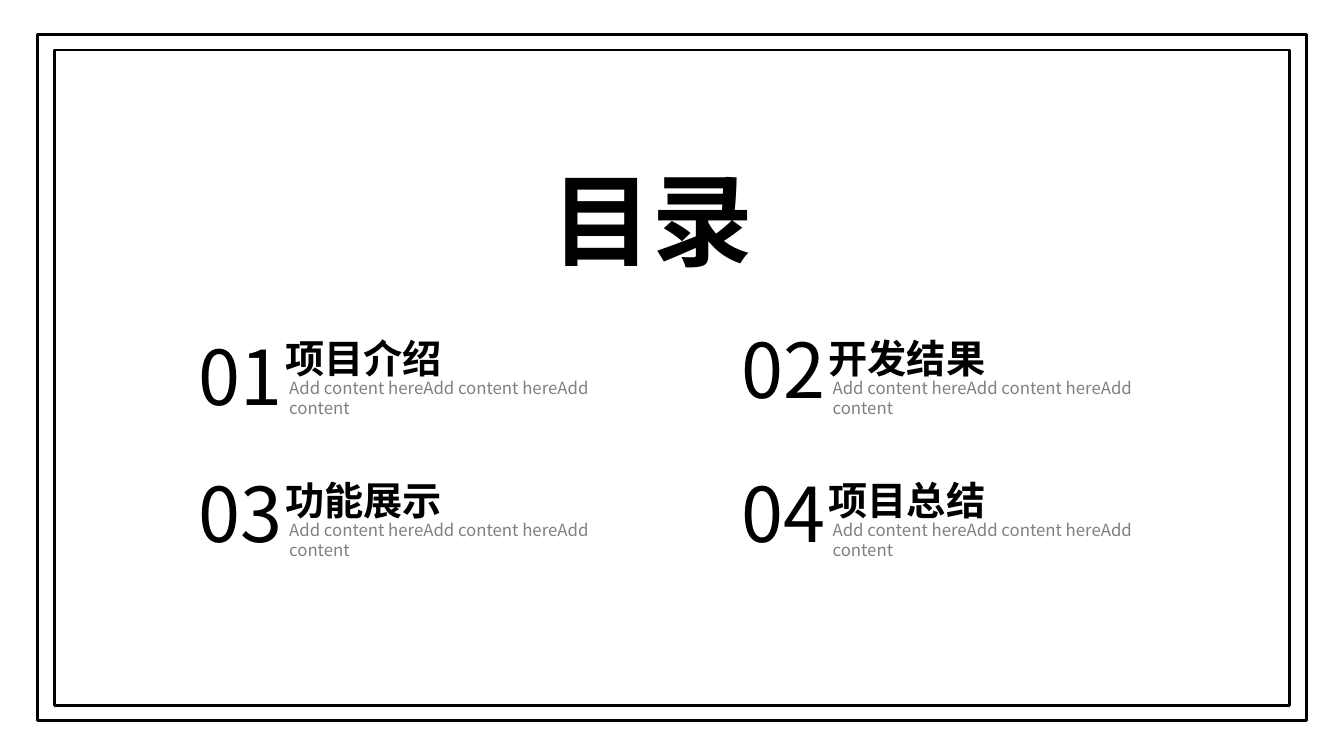
from lxml import etree
from pptx import Presentation, util as u
from pptx.dml.color import RGBColor
from pptx.enum import shapes, text
from pptx.oxml.ns import qn

BLACK = RGBColor(0x00, 0x00, 0x00)
GREY = RGBColor(0x80, 0x80, 0x80)
FONT = "Noto Sans CJK SC"
LEFT, TOP = 1.8, 3.27
COLUMN, ROW = 5.39, 1.41
BLURB = "Add content hereAdd content hereAdd content"
ENTRIES = [("01", "项目介绍", 3.22), ("02", "开发结果", 3.15),
           ("03", "功能展示", 4.58), ("04", "项目总结", 4.58)]


def place(box, left, top, width, height):
    """Move a shape to a position given in inches."""
    box.left, box.top = u.Inches(left), u.Inches(top)
    box.width, box.height = u.Inches(width), u.Inches(height)


def write(box, words, size, color=BLACK, bold=False, align=text.PP_ALIGN.LEFT):
    """Fill a text shape with one formatted paragraph."""
    frame = box.text_frame
    frame.word_wrap = True
    frame.auto_size = text.MSO_AUTO_SIZE.SHAPE_TO_FIT_TEXT
    frame.vertical_anchor = text.MSO_ANCHOR.TOP
    para = frame.paragraphs[0]
    para.alignment = align
    para.line_spacing = 1.0
    para.space_before = u.Pt(0)
    span = para.add_run()
    span.text = words
    font = span.font
    font.name, font.size, font.bold = FONT, u.Pt(size), bold
    font.color.rgb = color
    latin = span._r.get_or_add_rPr().find(qn("a:latin"))
    east_asian = etree.Element(qn("a:ea"), typeface=FONT)
    latin.addnext(east_asian)


def add_label(page, area, words, size, **style):
    """Add a text box over an area and write in it."""
    box = page.shapes.add_textbox(0, 0, 0, 0)
    place(box, *area)
    write(box, words, size, **style)


def add_frame(group, area, weight):
    """Add an unfilled black border to the group."""
    border = group.shapes.add_shape(shapes.MSO_SHAPE.RECTANGLE, 0, 0, 0, 0)
    place(border, *area)
    border.shadow.inherit = False
    border.fill.background()
    border.line.color.rgb = BLACK
    border.line.width = u.Pt(weight)


def add_entry(page, index, number, heading, number_top):
    """Add a numbered contents entry in its grid cell."""
    row, column = divmod(index, 2)
    left, top = LEFT + column * COLUMN, TOP + row * ROW
    add_label(page, (left + 0.93, top, 2.77, 0.57), heading, 28, bold=True)
    add_label(page, (left + 0.97, top + 0.43, 3.71, 0.3), BLURB, 12, color=GREY)
    add_label(page, (left, number_top, 1.17, 1.01), number, 54,
              align=text.PP_ALIGN.CENTER)


def main():
    """Build the contents slide."""
    deck = Presentation()
    deck.slide_width, deck.slide_height = u.Inches(13.33), u.Inches(7.5)
    page = deck.slides.add_slide(deck.slide_layouts.get_by_name("Title Only"))
    borders = page.shapes.add_group_shape()
    add_frame(borders, (0.37, 0.34, 12.59, 6.81), 2.25)
    add_frame(borders, (0.54, 0.5, 12.25, 6.5), 1.5)
    title = page.shapes.title
    place(title, 5.37, 1.51, 2.38, 1.31)
    write(title, "目录", 72, bold=True, align=text.PP_ALIGN.JUSTIFY)
    for index, entry in enumerate(ENTRIES):
        add_entry(page, index, *entry)
    deck.save("out.pptx")


if __name__ == "__main__":
    main()
